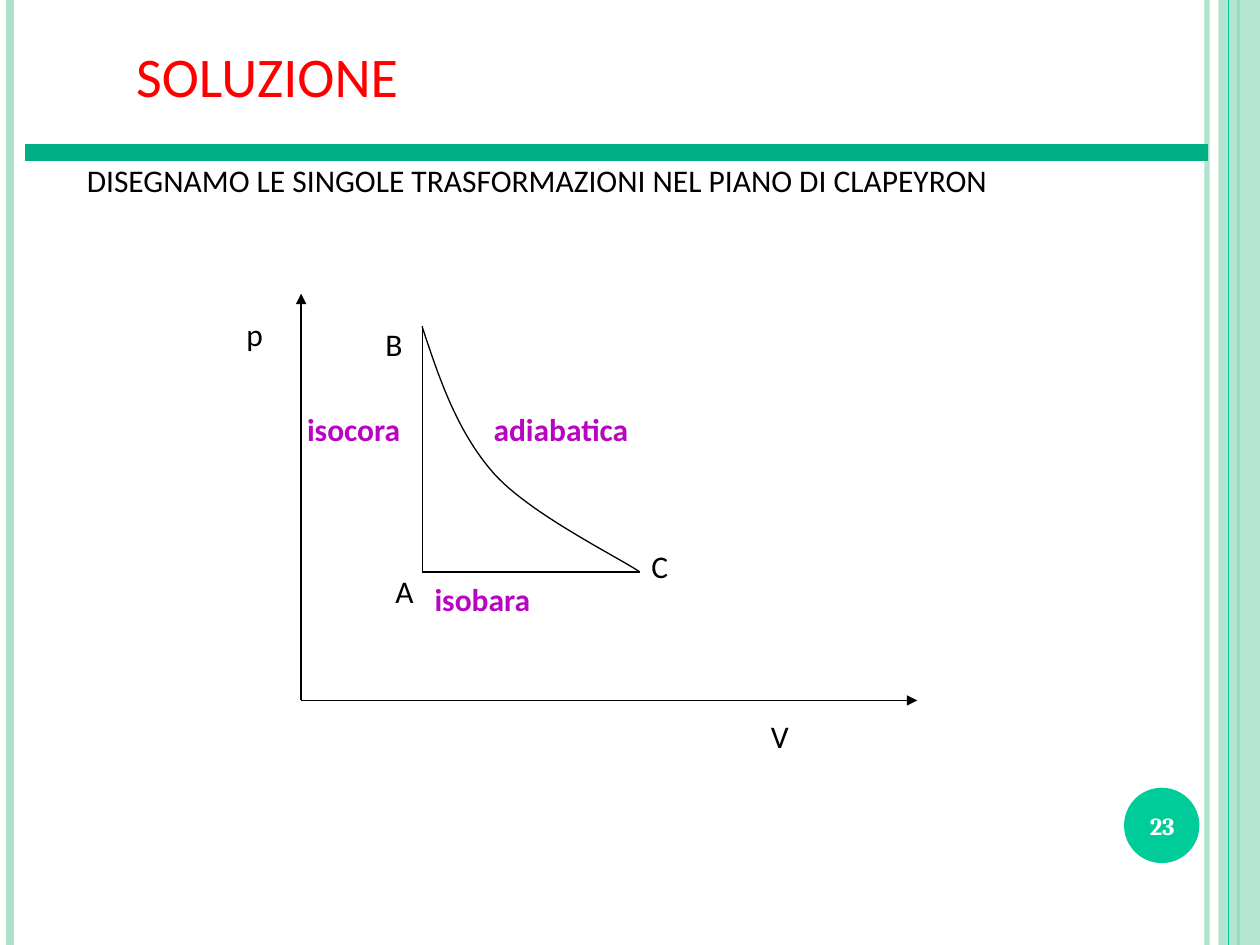
from pptx import Presentation
from pptx.dml.color import RGBColor
from pptx.enum.shapes import MSO_CONNECTOR, MSO_SHAPE
from pptx.enum.text import MSO_ANCHOR, MSO_AUTO_SIZE, PP_ALIGN
from pptx.oxml.ns import qn
from pptx.util import Cm, Pt
from lxml import etree

STRAIGHT = MSO_CONNECTOR.STRAIGHT
RECT, OVAL = MSO_SHAPE.RECTANGLE, MSO_SHAPE.OVAL
TOP, MIDDLE = MSO_ANCHOR.TOP, MSO_ANCHOR.MIDDLE
LEFT, CENTER = PP_ALIGN.LEFT, PP_ALIGN.CENTER
FIXED = MSO_AUTO_SIZE.NONE

COLORS = {
    name: RGBColor.from_string(code)
    for name, code in {
        "mint": "ABE2CA", "green": "00CC99", "dark": "00AF83",
        "red": "FF0000", "black": "000000", "purple": "B705C1",
        "white": "FFFFFF",
    }.items()
}

deck = Presentation()
deck.slide_width, deck.slide_height = Cm(25.4), Cm(19.05)
slide = deck.slides.add_slide(deck.slide_layouts[5])
shapes = slide.shapes


def add_line(x1, y1, x2, y2, color="black", width=0.75, arrow=False):
    line = shapes.add_connector(STRAIGHT, Cm(x1), Cm(y1), Cm(x2), Cm(y2))
    line.line.color.rgb = COLORS[color]
    line.line.width = Pt(width)
    props = line._element.spPr
    if arrow:
        etree.SubElement(props.find(qn("a:ln")), qn("a:tailEnd"), type="triangle")
    etree.SubElement(props, qn("a:effectLst"))
    return line


def set_text(box, text, size=18, color="black", bold=False, font="Calibri",
             align=LEFT, anchor=TOP):
    frame = box.text_frame
    frame.text = text
    frame.word_wrap = True
    frame.auto_size = FIXED
    frame.vertical_anchor = anchor
    para = frame.paragraphs[0]
    para.alignment = align
    face = para.runs[0].font
    face.name, face.size, face.bold = font, Pt(size), bold
    face.color.rgb = COLORS[color]


# Frame of the page
edge = add_line(24.33, 0, 24.33, 19.05, "mint", 3)
add_line(0.2, 0, 0.2, 19.05, "mint", 4.5)
add_line(24.97, 0, 24.97, 19.05, "green", 1.5)
band = shapes.add_shape(RECT, Cm(24.56), 0, Cm(0.84), Cm(19.05))
add_line(24.77, 0, 24.77, 19.05, "green")
disc = shapes.add_shape(OVAL, Cm(22.66), Cm(15.88), Cm(1.52), Cm(1.52))
add_line(0.51, 3.07, 24.36, 3.07, "dark", 10)

for shape, color in ((band, "mint"), (disc, "green")):
    shape.shadow.inherit = False
    shape.fill.solid()
    shape.fill.fore_color.rgb = COLORS[color]
    shape.line.fill.background()

for shape, alpha in ((edge, 93), (band, 87)):
    tint = next(shape._element.spPr.iter(qn("a:srgbClr")))
    etree.SubElement(tint, qn("a:alpha"), val=str(alpha * 1000))

page = shapes.add_textbox(Cm(22.58), Cm(15.93), Cm(1.7), Cm(1.45))
set_text(page, "23", 14, "white", True, "Cambria", CENTER, MIDDLE)

# Title
title = shapes.title
title.left, title.top, title.width, title.height = Cm(2.49), Cm(0.71), Cm(9.8), Cm(1.6)
set_text(title, "SOLUZIONE", 32, "red")

# Axes, then the straight sides of the cycle
add_line(6.07, 14.12, 6.07, 5.92, arrow=True)
add_line(6.07, 14.12, 18.49, 14.12, arrow=True)
add_line(12.9, 11.53, 8.51, 11.53)
add_line(8.51, 11.53, 8.51, 6.58)

# Adiabatic side: two cubic Bezier arcs, sampled
arcs = (
    ((8.51, 6.58), (8.86, 7.65), (9.22, 8.71), (9.96, 9.55)),
    ((9.96, 9.55), (10.69, 10.36), (12.4, 11.2), (12.9, 11.53)),
)
steps = 24
dots = []
for arc in arcs:
    for i in range(1, steps + 1):
        t = i / steps
        parts = ((1 - t) ** 3, 3 * t * (1 - t) ** 2, 3 * t * t * (1 - t), t ** 3)
        dots.append([Cm(sum(w * p[k] for w, p in zip(parts, arc))) for k in (0, 1)])
pen = shapes.build_freeform(Cm(8.51), Cm(6.58))
pen.add_line_segments(dots, close=False)
curve = pen.convert_to_shape()
curve.shadow.inherit = False
curve.fill.background()
curve.line.color.rgb = COLORS["black"]
curve.line.width = Pt(0.75)

# Text: left, top, width, words, colour, bold
labels = (
    (1.5, 3.12, 21.4, "DISEGNAMO LE SINGOLE TRASFORMAZIONI NEL PIANO DI CLAPEYRON", "black", False),
    (15.29, 14.33, 1.8, "V", "black", False),
    (4.72, 6.22, 0.8, "p", "black", False),
    (12.88, 10.9, 4.4, "C", "black", False),
    (7.72, 11.4, 0.64, "A", "black", False),
    (7.52, 6.43, 0.84, "B", "black", False),
    (5.94, 8.15, 3.2, "isocora", "purple", True),
    (8.51, 11.56, 3.2, "isobara", "purple", True),
    (9.7, 8.15, 4.27, "adiabatica", "purple", True),
)
for x, y, width, text, color, bold in labels:
    box = shapes.add_textbox(Cm(x), Cm(y), Cm(width), Cm(1.02))
    set_text(box, text, color=color, bold=bold)

deck.save("out.pptx")
